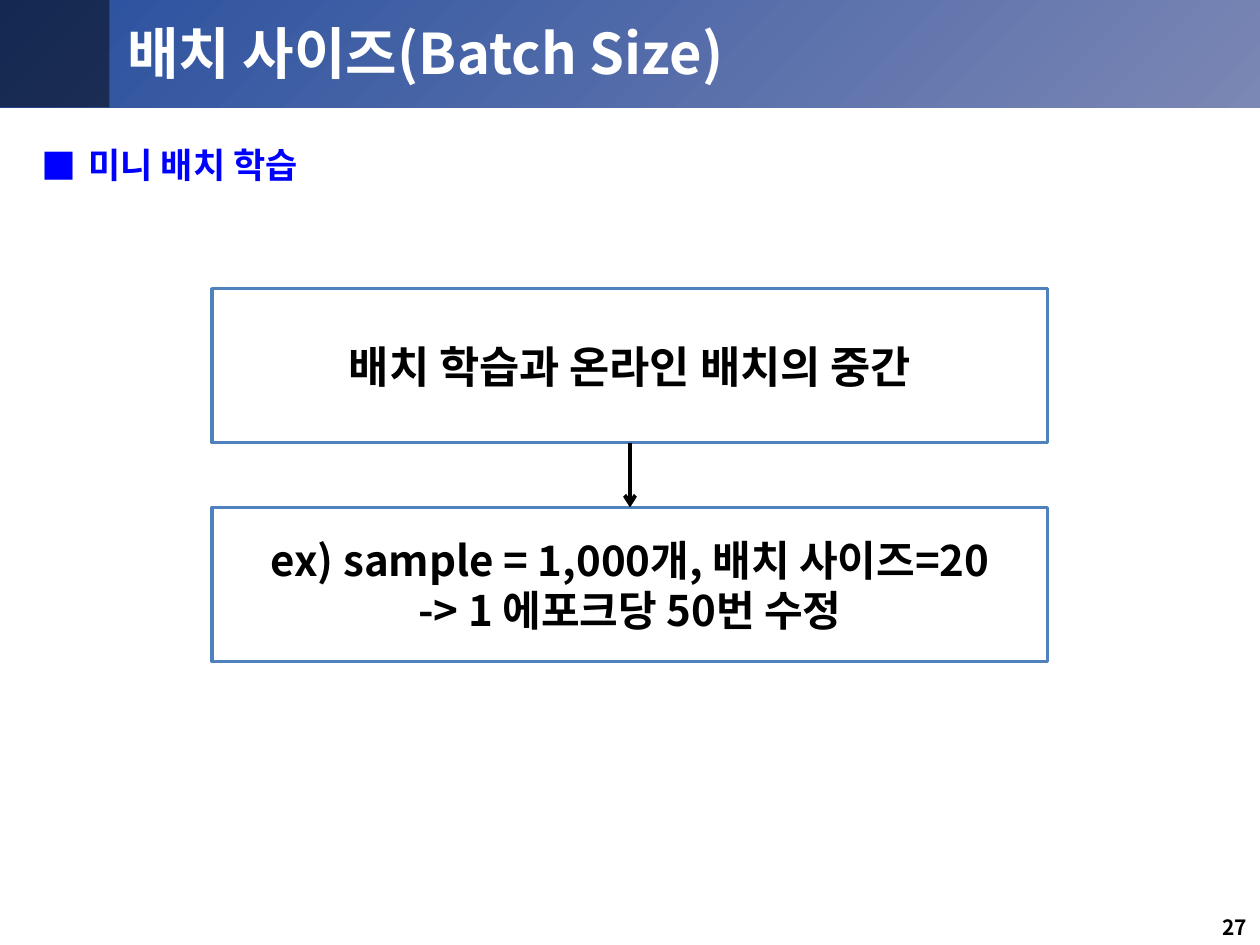
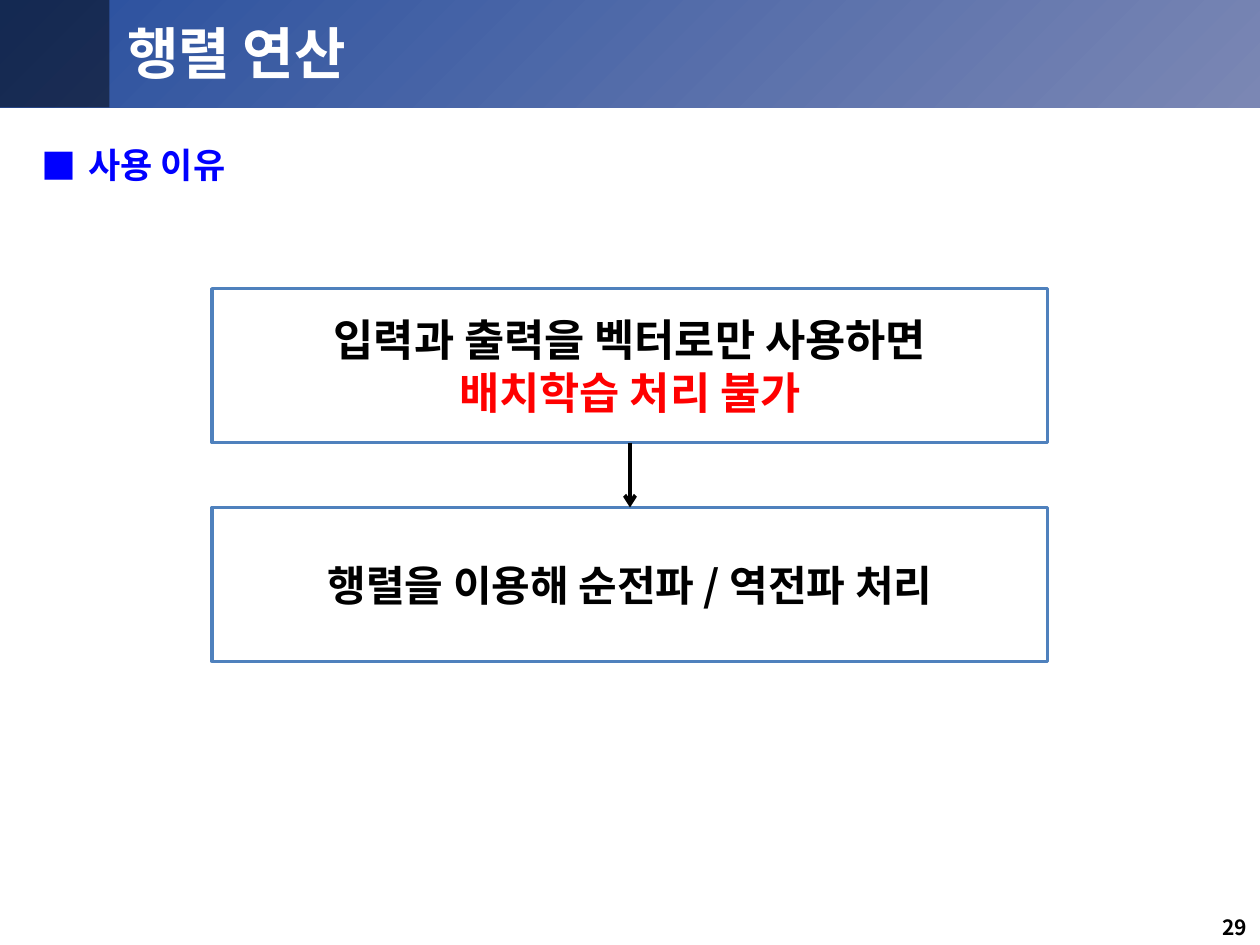
from lxml.etree import SubElement
from pptx import Presentation
from pptx.dml.color import RGBColor
from pptx.enum.shapes import MSO_CONNECTOR, MSO_SHAPE
from pptx.enum.text import MSO_ANCHOR, PP_ALIGN
from pptx.oxml.ns import qn
from pptx.util import Pt

COLORS = {
    "band_start": "284F9E", "band_end": "7B87B4", "border": "4F81BD",
    "black": "000000", "white": "FFFFFF", "blue": "0000FF", "red": "FF0000",
}
FONT = "Noto Sans CJK KR"
SLIDE_WIDTH, SLIDE_HEIGHT = 720, 540
BAND_TOP, BAND_HEIGHT, CORNER_WIDTH = -0.6, 62, 62.5
BOX_WIDTH, BOX_HEIGHT = 477.5, 88
BOX_LEFT = (SLIDE_WIDTH - BOX_WIDTH) / 2
BOX_TOP, BOX_GAP = 165, 37


def rgb(name):
    return RGBColor.from_string(COLORS[name])


class Deck:
    def __init__(self):
        self.presentation = Presentation()
        self.presentation.slide_width = Pt(SLIDE_WIDTH)
        self.presentation.slide_height = Pt(SLIDE_HEIGHT)
        self.slide = None

    def add_slide(self, title, topic, number):
        layout = self.presentation.slide_layouts[6]
        self.slide = self.presentation.slides.add_slide(layout)
        self.add_band()
        self.add_text(65.5, 10, 636, 40, title, 32, "white")
        self.add_topic(topic)
        self.add_text(551.5, 519, 168, 21, str(number), 12, "black", PP_ALIGN.RIGHT)

    def add_rectangle(self, left, top, width, height):
        shape = self.slide.shapes.add_shape(
            MSO_SHAPE.RECTANGLE, Pt(left), Pt(top), Pt(width), Pt(height))
        shape.shadow.inherit = False
        shape.line.fill.background()
        return shape

    def add_band(self):
        # Gradient band with a darkened left corner
        band = self.add_rectangle(0, BAND_TOP, SLIDE_WIDTH, BAND_HEIGHT)
        band.fill.gradient()
        band.fill.gradient_angle = 315
        for stop, name in zip(band.fill.gradient_stops, ("band_start", "band_end")):
            stop.color.rgb = rgb(name)
        corner = self.add_rectangle(0, BAND_TOP, CORNER_WIDTH, BAND_HEIGHT)
        corner.fill.solid()
        corner.fill.fore_color.rgb = rgb("black")
        color = next(corner.fill._xPr.iter(qn("a:srgbClr")))
        SubElement(color, qn("a:alpha"), val="48000")

    def add_run(self, paragraph, text, size, color):
        run = paragraph.add_run()
        run.text = text
        run.font.name = FONT
        run.font.size = Pt(size)
        run.font.bold = True
        run.font.color.rgb = rgb(color)
        SubElement(run.font._element, qn("a:ea"), typeface=FONT)

    def add_text(self, left, top, width, height, text, size, color,
                 align=PP_ALIGN.LEFT, anchor=MSO_ANCHOR.MIDDLE, bullet=None):
        shape = self.slide.shapes.add_textbox(Pt(left), Pt(top), Pt(width), Pt(height))
        frame = shape.text_frame
        frame.word_wrap = True
        frame.vertical_anchor = anchor
        paragraph = frame.paragraphs[0]
        paragraph.alignment = align
        if bullet:
            properties = paragraph._p.get_or_add_pPr()
            properties.set("marL", str(Pt(27)))
            properties.set("indent", str(-Pt(27)))
            SubElement(properties, qn("a:buFont"), typeface=FONT)
            SubElement(properties, qn("a:buChar"), char=bullet)
        self.add_run(paragraph, text, size, color)

    def add_topic(self, text):
        self.add_text(16.5, 78.5, 677.5, 427.5, text, 20, "blue",
                      anchor=MSO_ANCHOR.TOP, bullet="■")

    def add_box(self, row, lines, size):
        top = BOX_TOP + row * (BOX_HEIGHT + BOX_GAP)
        box = self.add_rectangle(BOX_LEFT, top, BOX_WIDTH, BOX_HEIGHT)
        box.fill.solid()
        box.fill.fore_color.rgb = rgb("white")
        box.line.color.rgb = rgb("border")
        box.line.width = Pt(2)
        frame = box.text_frame
        frame.word_wrap = True
        frame.vertical_anchor = MSO_ANCHOR.MIDDLE
        for index, (text, color) in enumerate(lines):
            paragraph = frame.add_paragraph() if index else frame.paragraphs[0]
            paragraph.alignment = PP_ALIGN.CENTER
            self.add_run(paragraph, text, size, color)
        return box

    def add_arrow(self, upper, lower):
        connector = self.slide.shapes.add_connector(MSO_CONNECTOR.STRAIGHT, 0, 0, 0, 0)
        connector.begin_connect(upper, 2)
        connector.end_connect(lower, 0)
        connector.line.color.rgb = rgb("black")
        connector.line.width = Pt(2.25)
        SubElement(connector.line._get_or_add_ln(), qn("a:tailEnd"), type="arrow")
        SubElement(connector._element.spPr, qn("a:effectLst"))

    def add_flow(self, upper_lines, lower_lines):
        upper = self.add_box(0, upper_lines, 25)
        lower = self.add_box(1, lower_lines, 24)
        self.add_arrow(upper, lower)


def main():
    deck = Deck()

    # Mini-batch learning
    deck.add_slide("배치 사이즈(Batch Size)", "미니 배치 학습", 27)
    deck.add_flow(
        [("배치 학습과 온라인 배치의 중간", "black")],
        [("ex) sample = 1,000개, 배치 사이즈=20", "black"),
         ("-> 1 에포크당 50번 수정", "black")])

    # Why matrices are used
    deck.add_slide("행렬 연산", "사용 이유", 29)
    deck.add_flow(
        [("입력과 출력을 벡터로만 사용하면", "black"),
         ("배치학습 처리 불가", "red")],
        [("행렬을 이용해 순전파 / 역전파 처리", "black")])

    deck.presentation.save("out.pptx")


if __name__ == "__main__":
    main()
